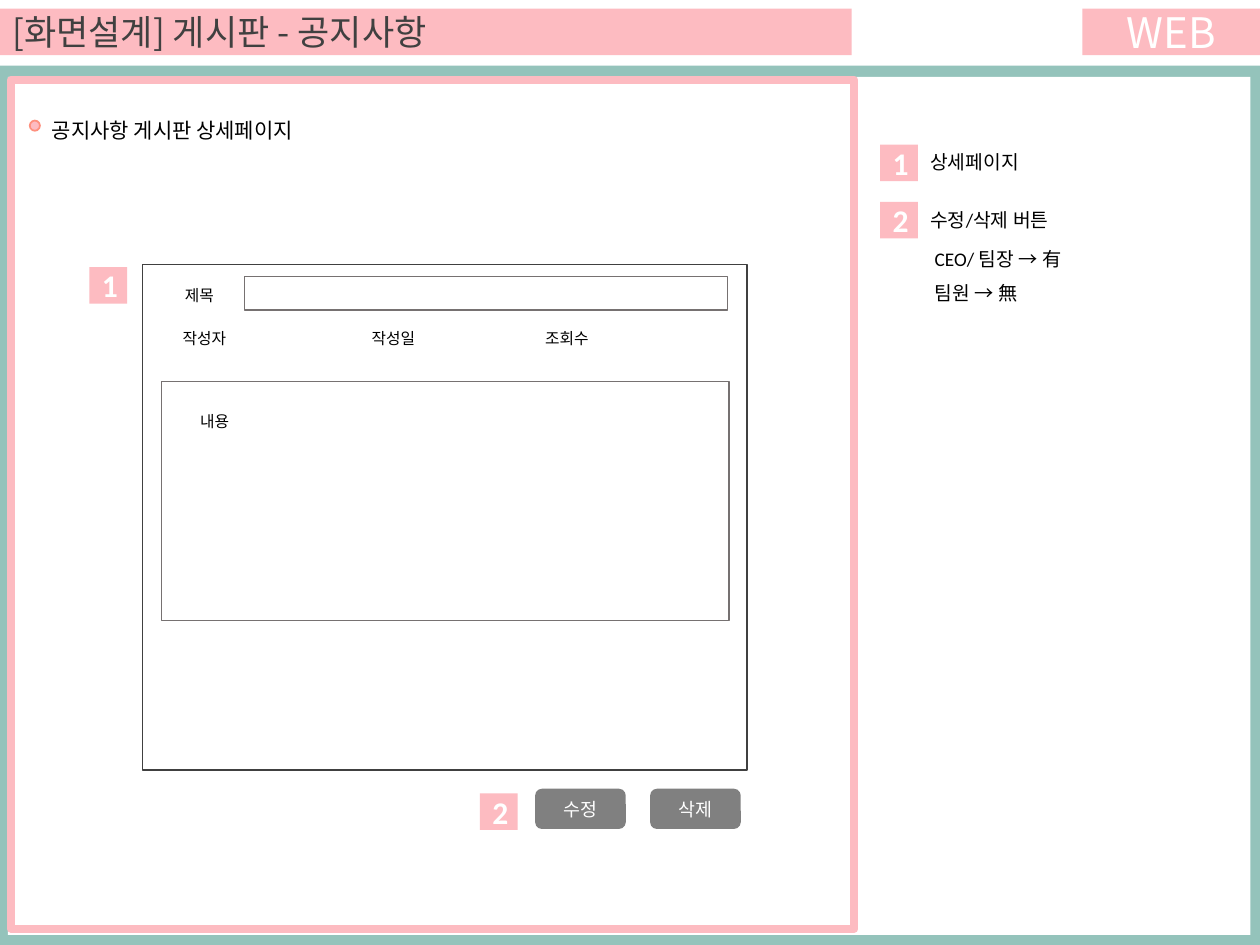
from pptx import Presentation
from pptx import util as u
from pptx.dml.color import RGBColor
from pptx.enum import shapes, text

COLORS = {
    "teal": "94C3BB", "pink": "FDBBC1", "coral": "FE907E", "white": "FFFFFF",
    "black": "000000", "dark": "404040", "gray": "808080", "border": "767171",
}
LATIN, KOREAN = "Calibri", "Noto Sans CJK KR"
RECT = shapes.MSO_SHAPE.RECTANGLE


def rgb(name):
    return RGBColor.from_string(COLORS[name])


def points(box):
    return [u.Pt(length) for length in box]


def style(paragraph, font, size, color, bold=None):
    paragraph.font.name = font
    paragraph.font.size = u.Pt(size)
    paragraph.font.color.rgb = rgb(color)
    paragraph.font.bold = bold


def panel(slide, box, fill=None, line=None, width=0.75, kind=RECT):
    area = slide.shapes.add_shape(kind, *points(box))
    area.shadow.inherit = False
    if fill:
        area.fill.solid()
        area.fill.fore_color.rgb = rgb(fill)
    else:
        area.fill.background()
    if line:
        area.line.color.rgb = rgb(line)
        area.line.width = u.Pt(width)
    else:
        area.line.fill.background()
    return area


def caption(area, words, font, size, color="white", bold=None,
            align=text.PP_ALIGN.CENTER):
    frame = area.text_frame
    frame.vertical_anchor = text.MSO_ANCHOR.MIDDLE
    paragraph = frame.paragraphs[0]
    paragraph.text = words
    paragraph.alignment = align
    style(paragraph, font, size, color, bold)


def badge(slide, left, top, number):
    caption(panel(slide, (left, top, 21.6, 20.9), "pink"),
            number, LATIN, 18, bold=True)


def button(slide, left, words):
    rounded = shapes.MSO_SHAPE.ROUNDED_RECTANGLE
    caption(panel(slide, (left, 450.7, 51.8, 23), "gray", kind=rounded),
            words, KOREAN, 10.5)


def label(slide, box, lines, size, wrap=True, spacing=None):
    frame = slide.shapes.add_textbox(*points(box)).text_frame
    frame.word_wrap = wrap
    frame.auto_size = text.MSO_AUTO_SIZE.SHAPE_TO_FIT_TEXT
    frame.text = "\n".join(lines)
    for paragraph in frame.paragraphs:
        paragraph.line_spacing = spacing
        style(paragraph, LATIN, size, "black")


def header(slide):
    caption(panel(slide, (618.5, 5, 101.5, 26.6), "pink"), "WEB", KOREAN, 24)
    caption(panel(slide, (0, 5, 486.7, 26.6), "pink"),
            "[화면설계] 게시판 - 공지사항", KOREAN, 20, "dark",
            align=text.PP_ALIGN.LEFT)


def frames(slide):
    panel(slide, (0, 37.5, 720, 502.5), "teal")
    panel(slide, (4.5, 43.9, 710, 490.3), "white")
    panel(slide, (6.5, 45.6, 481.7, 485.3), line="pink", width=4.5)


def wireframe(slide):
    panel(slide, (17, 68.9, 5.8, 5.8), "pink", "coral", 1, shapes.MSO_SHAPE.OVAL)
    label(slide, (22.6, 63.4, 275, 21.8), ["공지사항 게시판 상세페이지"], 12)
    panel(slide, (81.4, 151.2, 345.6, 288.7), line="dark", width=1)
    panel(slide, (139.7, 158.2, 275.9, 18.9), line="border")
    panel(slide, (92.2, 218.2, 324.3, 136.3), line="border")
    for left, top, width, field in (
        (98.6, 159.8, 32.4, "제목"),
        (97.2, 184.6, 43.9, "작성자"),
        (205.2, 184.6, 41.8, "작성일"),
        (304.4, 184.6, 41.8, "조회수"),
        (107.3, 231.8, 32.4, "내용"),
    ):
        label(slide, (left, top, width, 18.2), [field], 9, wrap=False)
    badge(slide, 51.1, 152.6, "1")
    badge(slide, 274.3, 453.4, "2")
    button(slide, 305.8, "수정")
    button(slide, 371.5, "삭제")


def legend(slide):
    for number, top, note in (("1", 82.6, "상세페이지"),
                              ("2", 115.4, "수정/삭제 버튼")):
        badge(slide, 503, top, number)
        label(slide, (524.5, top - 0.2, 198.7, 20.6), [note], 11)
    label(slide, (527, 131, 123.1, 45.4),
          ["CEO/ 팀장 → 有", "팀원 → 無"], 11, spacing=1.5)


def main():
    deck = Presentation()
    deck.slide_width, deck.slide_height = u.Pt(720), u.Pt(540)
    slide = deck.slides.add_slide(deck.slide_layouts[6])
    frames(slide)
    header(slide)
    wireframe(slide)
    legend(slide)
    deck.save("out.pptx")


if __name__ == "__main__":
    main()
